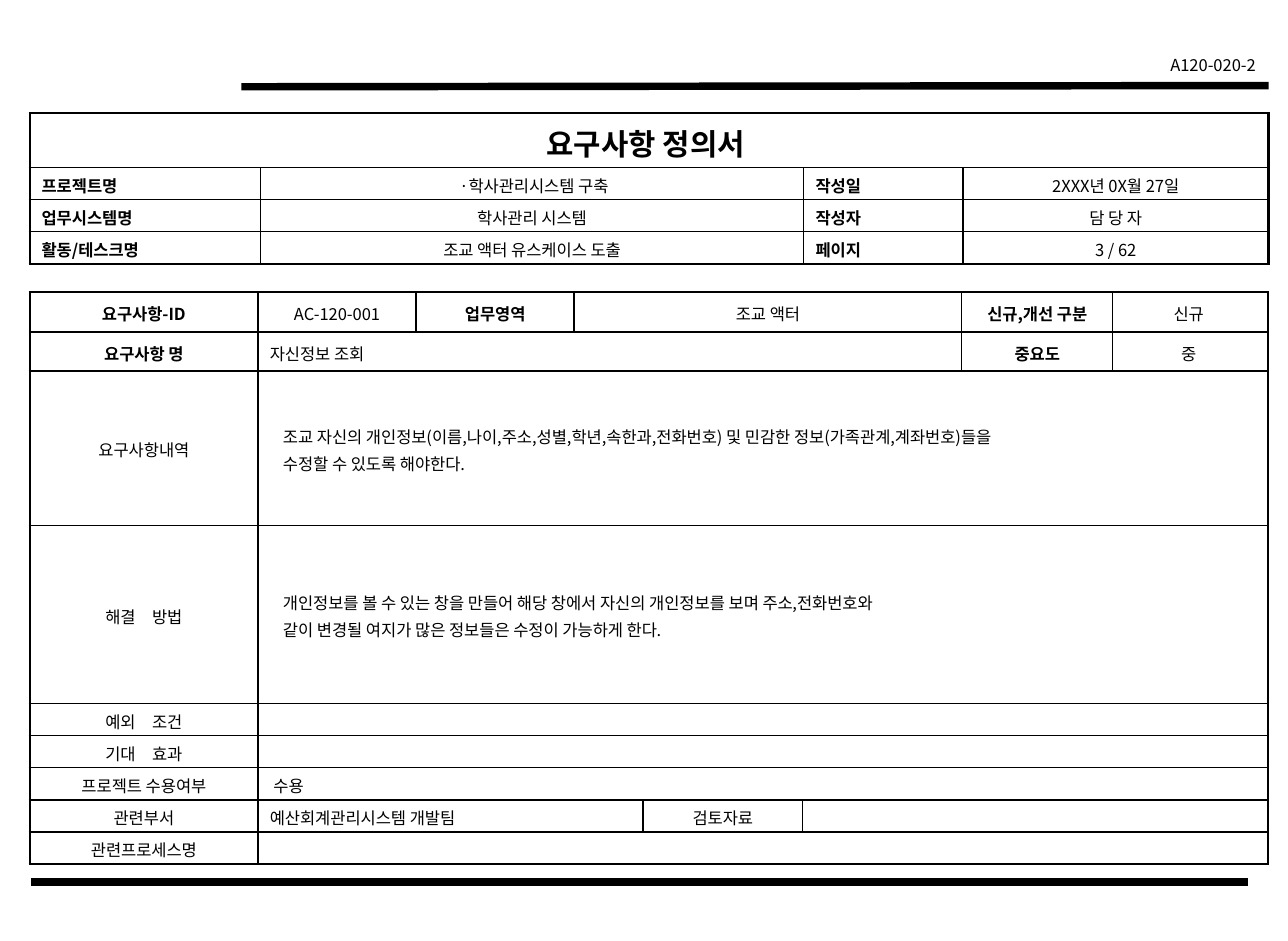
import pptx
import pptx.dml.color
import pptx.enum.shapes
import pptx.enum.text
import pptx.oxml.ns
import pptx.util
from lxml import etree

FONT = "Noto Sans CJK KR"
BLACK = "000000"
Inches = pptx.util.Inches
LEFT = pptx.enum.text.PP_ALIGN.LEFT
CENTER = pptx.enum.text.PP_ALIGN.CENTER
RIGHT = pptx.enum.text.PP_ALIGN.RIGHT


def color(value):
    """Return the colour for a hex string."""
    return pptx.dml.color.RGBColor.from_string(value)


def add_element(parent, tag, **attributes):
    """Append a DrawingML element to its parent."""
    return etree.SubElement(parent, pptx.oxml.ns.qn(tag), attributes)


def format_paragraph(paragraph, alignment, size=10, bold=False):
    """Set the alignment and the font of a paragraph."""
    paragraph.alignment = alignment
    font = paragraph.font
    font.name, font.size, font.bold = FONT, pptx.util.Pt(size), bold
    font.color.rgb = color(BLACK)
    add_element(paragraph._p.pPr.find(pptx.oxml.ns.qn("a:defRPr")), "a:ea", typeface=FONT)
    add_element(paragraph._p, "a:endParaRPr", sz=str(size * 100))


def add_bar(slide, start, end):
    """Draw a heavy line between two points."""
    line = slide.shapes.add_connector(
        pptx.enum.shapes.MSO_CONNECTOR.STRAIGHT, *map(Inches, start + end))
    line.line.color.rgb = color(BLACK)
    line.line.width = pptx.util.Pt(4.5)
    add_element(line._element.spPr, "a:effectLst")


def add_document_number(slide, box, text):
    """Place the document number at the right of its box."""
    frame = slide.shapes.add_textbox(*map(Inches, box)).text_frame
    frame.word_wrap = True
    frame.text = text
    format_paragraph(frame.paragraphs[0], RIGHT)


def set_borders(cell, widths):
    """Draw the left, right, top and bottom borders of a cell."""
    properties = cell._tc.get_or_add_tcPr()
    for position, (side, width) in enumerate(zip("LRTB", widths)):
        border = etree.Element(pptx.oxml.ns.qn(f"a:ln{side}"), w=str(pptx.util.Pt(width)))
        fill = add_element(border, "a:solidFill")
        add_element(fill, "a:srgbClr", val=BLACK)
        properties.insert(position, border)


def fill_cell(cell, text, alignment=CENTER, bold=False, size=10, indent=0):
    """Write and format the text of a cell."""
    cell.text = text
    cell.margin_left = Inches(0.1 + indent)
    cell.margin_top, cell.margin_bottom = Inches(0.03), Inches(0)
    cell.vertical_anchor = pptx.enum.text.MSO_ANCHOR.MIDDLE
    for paragraph in cell.text_frame.paragraphs:
        format_paragraph(paragraph, alignment, size, bold)
        paragraph.space_before = pptx.util.Pt(size / 5)


def add_form(slide, box, widths, heights, rows, heavy_lines):
    """Build a form table whose entries each reach to the next entry's column."""
    row_count, column_count = len(heights), len(widths)
    frame = slide.shapes.add_table(row_count, column_count, *map(Inches, box))
    table = frame.table
    table.first_row = table.horz_banding = False
    for column, width in zip(table.columns, widths):
        column.width = Inches(width)
    for row, height in zip(table.rows, heights):
        row.height = Inches(height)
    for row, entries in enumerate(rows):
        ends = [entry[0] for entry in entries[1:]] + [column_count]
        for (start, text, style), end in zip(entries, ends):
            edges = (start == 0, end == column_count,
                     row in heavy_lines, row + 1 in heavy_lines)
            for column in range(start, end):
                cell = table.cell(row, column)
                cell.fill.background()
                set_borders(cell, [1.5 if heavy else 1 for heavy in edges])
            if end - start > 1:
                table.cell(row, start).merge(table.cell(row, end - 1))
            fill_cell(table.cell(row, start), text, **style)


def add_heading_form(slide, box):
    """Build the form with the title and the project data."""
    label = {"alignment": LEFT, "bold": True}
    data = [
        ("프로젝트명", " ·학사관리시스템 구축", "작성일", "2XXX년 0X월 27일"),
        ("업무시스템명 ", "학사관리 시스템", "작성자", "담 당 자"),
        ("활동/테스크명", "조교 액터 유스케이스 도출", "페이지", "3 / 62"),
    ]
    rows = [[(0, "요구사항 정의서 ", {"bold": True, "size": 18})]]
    rows += [[(column, text, {} if column % 2 else label)
              for column, text in enumerate(line)] for line in data]
    add_form(slide, box, [1.94, 4.57, 1.34, 2.57], [0.46] + [0.27] * 3, rows, {0, 4})


def add_requirement_form(slide, box):
    """Build the form that describes the requirement."""
    label, plain, left = {"bold": True}, {}, {"alignment": LEFT}
    detail = {"alignment": LEFT, "indent": 0.11}
    rows = [
        [(0, "요구사항-ID", label), (1, "AC-120-001", plain), (2, "업무영역", label),
         (3, "조교 액터", plain), (6, "신규,개선 구분", label), (7, "신규 ", plain)],
        [(0, "요구사항 명", label), (1, "자신정보 조회", left),
         (6, "중요도", label), (7, "중 ", plain)],
        [(0, "요구사항내역", plain),
         (1, "조교 자신의 개인정보(이름,나이,주소,성별,학년,속한과,전화번호) 및 민감한 정보"
             "(가족관계,계좌번호)들을\n수정할 수 있도록 해야한다.", detail)],
        [(0, "해결　방법", plain),
         (1, "개인정보를 볼 수 있는 창을 만들어 해당 창에서 자신의 개인정보를 보며 주소,전화번호와\n"
             "같이 변경될 여지가 많은 정보들은 수정이 가능하게 한다.", detail)],
        [(0, "예외　조건", plain), (1, "", left)],
        [(0, "기대　효과", plain), (1, "", left)],
        [(0, "프로젝트 수용여부", plain), (1, " 수용", left)],
        [(0, "관련부서", plain), (1, "예산회계관리시스템 개발팀", left),
         (4, "검토자료", plain), (5, "", left)],
        [(0, "관련프로세스명", plain), (1, "", left)],
    ]
    widths = [1.92, 1.33, 1.33, 0.58, 1.34, 1.34, 1.27, 1.31]
    heights = [0.33, 0.33, 1.3, 1.5] + [0.27] * 5
    add_form(slide, box, widths, heights, rows, {0, 1, 2, 9})


def main():
    """Build and save the requirement definition slide."""
    presentation = pptx.Presentation()
    presentation.slide_width = Inches(65 / 6)
    presentation.slide_height = Inches(95 / 12)
    slide = presentation.slides.add_slide(presentation.slide_layouts[6])
    add_bar(slide, (2.03, 0.73), (10.67, 0.72))
    add_document_number(slide, (9.58, 0.41, 1.08, 0.27), "A120-020-2")
    add_bar(slide, (0.26, 7.42), (10.5, 7.42))
    add_heading_form(slide, (0.25, 0.95, 10.42, 1.27))
    add_requirement_form(slide, (0.25, 2.46, 10.42, 4.8))
    presentation.save("out.pptx")


if __name__ == "__main__":
    main()
